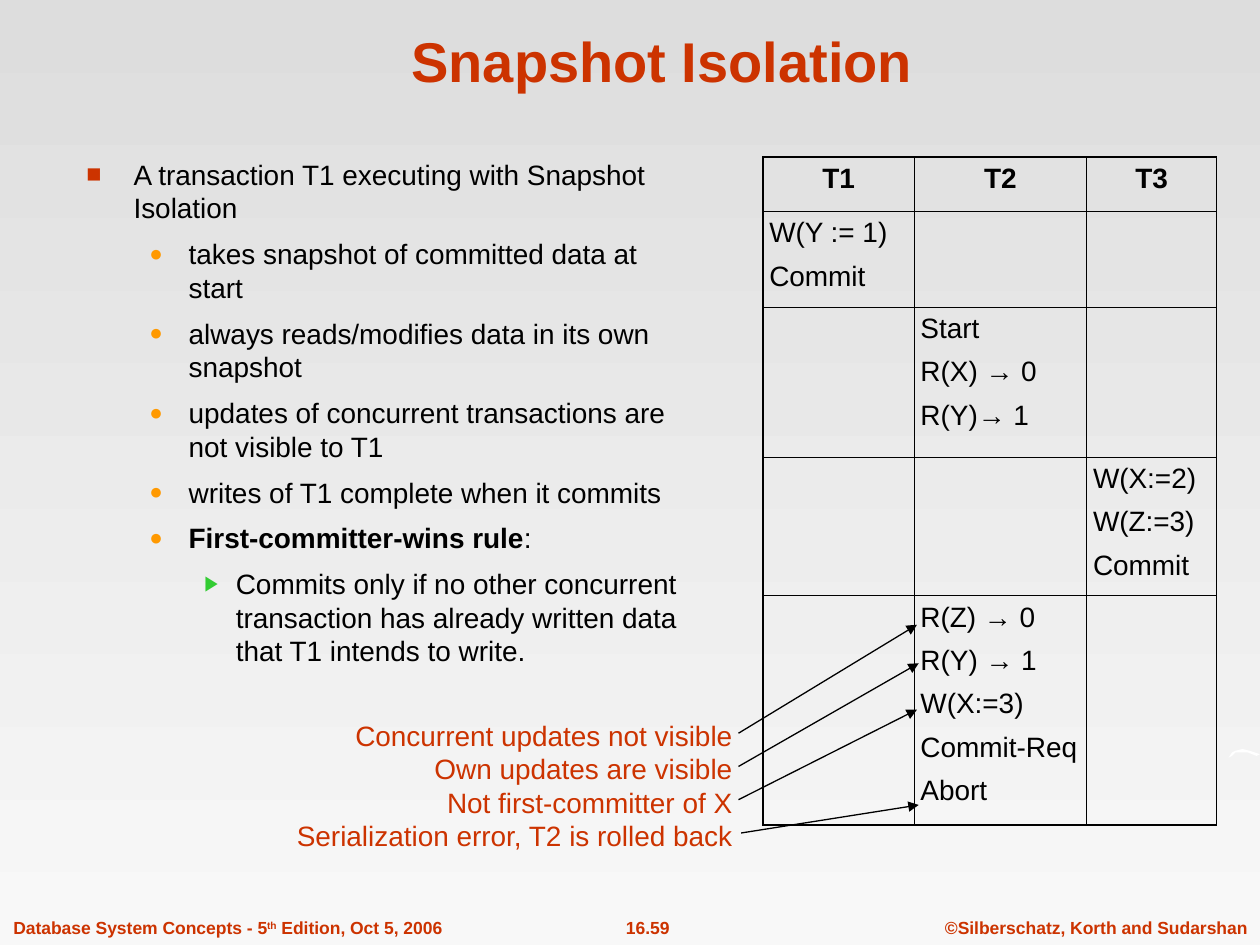
import pptx
import pptx.util
import pptx.dml.color
import pptx.enum.shapes
import pptx.enum.text
import pptx.oxml
import pptx.oxml.ns

Pt = pptx.util.Pt
ALIGN = pptx.enum.text.PP_ALIGN
FIT = pptx.enum.text.MSO_AUTO_SIZE
RED, BLACK, WHITE = "CC3300", "000000", "FFFFFF"
NS = pptx.oxml.ns.nsdecls("a")

LEVELS = [
    dict(margin=27, indent=-27, char="■", color=RED, size=90),
    dict(margin=58.5, indent=-22.5, char="●", color="FF9900", size=80),
    dict(margin=85.5, indent=-18, char="▶", color="33CC33", size=75),
]
BODY = [
    (0, [("A transaction T1 executing with Snapshot Isolation", {})]),
    (1, [("takes snapshot of committed data at start", {})]),
    (1, [("always reads/modifies data in its own snapshot", {})]),
    (1, [("updates of concurrent transactions are not visible to T1", {})]),
    (1, [("writes of T1 complete when it commits", {})]),
    (1, [("First-committer-wins rule", {"bold": True}), (":", {})]),
    (2, [("Commits only if no other concurrent transaction has already "
          "written data that T1 intends to write.", {})]),
]
COLS = [86.4, 98.6, 74.2]
ROWS = [31, 54.7, 85.7, 79.2, 131]
SCHEDULE = [
    [["T1"], ["T2"], ["T3"]],
    [["W(Y := 1)", "Commit"], [], []],
    [[], ["Start", "R(X) → 0", "R(Y)→ 1"], []],
    [[], [], ["W(X:=2)", "W(Z:=3)", "Commit"]],
    [[], ["R(Z) → 0", "R(Y) → 1", "W(X:=3)", "Commit-Req", "Abort"], []],
]
NOTES = ["Concurrent updates not visible", "Own updates are visible",
         "Not first-committer of X", "Serialization error, T2 is rolled back"]
ARROWS = [(422, 419, 524, 357), (422, 438, 525, 379),
          (422, 457, 524, 405.5), (423.5, 476, 525, 460)]
SWOOSH = [(702, 432.7), (703.5, 430.3), (706, 429), (709.5, 428.5),
          (714, 429.3), (720, 430.7), (718.5, 431.5), (713, 430.5),
          (709, 430), (706, 430.5), (703.5, 431.5)]


def rgb(value):
    return pptx.dml.color.RGBColor.from_string(value)


def add_xml(parent, xml):
    el = pptx.oxml.parse_xml(xml)
    parent.append(el)
    return el


def set_attrs(obj, fmt):
    for name, value in fmt.items():
        setattr(obj, name, value)


def add_run(p, text, size, color=BLACK, baseline=None, **fmt):
    r = p.add_run()
    r.text = text
    set_attrs(r.font, {"name": "Arial", "size": Pt(size), **fmt})
    r.font.color.rgb = rgb(color)
    if baseline:
        r._r.get_or_add_rPr().set("baseline", str(baseline * 1000))


def next_paragraph(tf, i, gap=0, align=ALIGN.LEFT):
    p = tf.add_paragraph() if i else tf.paragraphs[0]
    set_attrs(p, {"alignment": align, "space_before": Pt(gap if i else 0)})
    return p


def add_box(s, box, wrap=True, anchor=pptx.enum.text.MSO_ANCHOR.TOP):
    tf = s.shapes.add_textbox(*map(Pt, box)).text_frame
    fit = FIT.NONE if wrap else FIT.SHAPE_TO_FIT_TEXT
    set_attrs(tf, {"word_wrap": wrap, "auto_size": fit,
                   "vertical_anchor": anchor})
    return tf


def add_footer(s, box, runs, align):
    p = next_paragraph(add_box(s, box, wrap=False), 0, align=align)
    for text, fmt in runs:
        add_run(p, text, 10, RED, bold=True, **fmt)


def add_bullet(p, margin, indent, char, color, size):
    pPr = p._p.get_or_add_pPr()
    pPr.set("marL", str(Pt(margin)))
    pPr.set("indent", str(Pt(indent)))
    add_xml(pPr, f'<a:buClr {NS}><a:srgbClr val="{color}"/></a:buClr>')
    add_xml(pPr, f'<a:buSzPct {NS} val="{size * 1000}"/>')
    add_xml(pPr, f'<a:buFont {NS} typeface="Arial"/>')
    add_xml(pPr, f'<a:buChar {NS} char="{char}"/>')


def add_body(s):
    tf = add_box(s, (42.2, 86.4, 358, 417))
    for i, (level, runs) in enumerate(BODY):
        p = next_paragraph(tf, i, gap=7)
        p.level = level
        add_bullet(p, **LEVELS[level])
        for text, fmt in runs:
            add_run(p, text, 16, **fmt)


def set_borders(cell, outer):
    tcPr = cell._tc.get_or_add_tcPr()
    for side in "LRTB":
        width = Pt(1.08 if outer[side] else 0.45)
        add_xml(tcPr, f'<a:ln{side} {NS} w="{width}"><a:solidFill>'
                      f'<a:srgbClr val="{BLACK}"/></a:solidFill></a:ln{side}>')


def add_schedule(s):
    box = (436, 89.8, sum(COLS), sum(ROWS))
    table = s.shapes.add_table(len(ROWS), len(COLS), *map(Pt, box)).table
    set_attrs(table, {"first_row": False, "horz_banding": False})
    for col, width in zip(table.columns, COLS):
        col.width = Pt(width)
    for i, (row, height) in enumerate(zip(table.rows, ROWS)):
        row.height = Pt(height)
        for j, cell in enumerate(row.cells):
            margins = ("left", "right", "top", "bottom")
            set_attrs(cell, {f"margin_{m}": Pt(3.6) for m in margins})
            set_borders(cell, {"L": j == 0, "R": j == len(COLS) - 1,
                               "T": i == 0, "B": i == len(ROWS) - 1})
            cell.fill.background()
            for k, text in enumerate(SCHEDULE[i][j]):
                align = ALIGN.LEFT if i else ALIGN.CENTER
                p = next_paragraph(cell.text_frame, k, 7, align)
                add_run(p, text, 16, bold=i == 0)


def add_notes_on_steps(s):
    tf = add_box(s, (161.3, 406.8, 264.4, 84.2), wrap=False)
    for i, text in enumerate(NOTES):
        add_run(next_paragraph(tf, i, align=ALIGN.RIGHT), text, 16, RED)


def add_arrow(s, ends):
    kind = pptx.enum.shapes.MSO_CONNECTOR.STRAIGHT
    cx = s.shapes.add_connector(kind, *map(Pt, ends))
    cx.line.color.rgb = rgb(BLACK)
    cx.line.width = Pt(0.75)
    add_xml(cx.line._get_or_add_ln(), f'<a:tailEnd {NS} type="triangle"/>')
    add_xml(cx._element.spPr, f"<a:effectLst {NS}/>")


def add_swoosh(s):
    fb = s.shapes.build_freeform(*SWOOSH[0], scale=Pt(1))
    fb.add_line_segments(SWOOSH[1:], close=True)
    sp = fb.convert_to_shape()
    sp.shadow.inherit = False
    sp.fill.solid()
    sp.fill.fore_color.rgb = rgb(WHITE)
    sp.line.fill.background()


def set_background(s):
    fill = s.background.fill
    fill.gradient()
    fill.gradient_angle = 270
    for stop, color in zip(fill.gradient_stops, ("DDDDDD", "F8F8F8")):
        stop.color.rgb = rgb(color)


def main():
    prs = pptx.Presentation()
    set_attrs(prs, {"slide_width": Pt(720), "slide_height": Pt(540)})
    s = prs.slides.add_slide(prs.slide_layouts[6])
    set_background(s)
    add_footer(s, (532.8, 520.5, 187.2, 19.5),
               [("©Silberschatz, Korth and Sudarshan", {})], ALIGN.CENTER)
    add_footer(s, (332, 520.5, 76.3, 19.5), [("16.59", {})], ALIGN.CENTER)
    add_footer(s, (0.5, 520.5, 262, 19.5),
               [("Database System Concepts - 5", {}), ("th", {"baseline": 30}),
                (" Edition, Oct 5, 2006", {})], ALIGN.LEFT)
    add_swoosh(s)
    title = add_box(s, (60.5, 9, 635.8, 48.2),
                    anchor=pptx.enum.text.MSO_ANCHOR.BOTTOM)
    p = next_paragraph(title, 0, align=ALIGN.CENTER)
    add_run(p, "Snapshot Isolation", 32, RED, bold=True)
    add_body(s)
    add_schedule(s)
    add_notes_on_steps(s)
    for ends in ARROWS:
        add_arrow(s, ends)
    prs.save("out.pptx")


if __name__ == "__main__":
    main()
